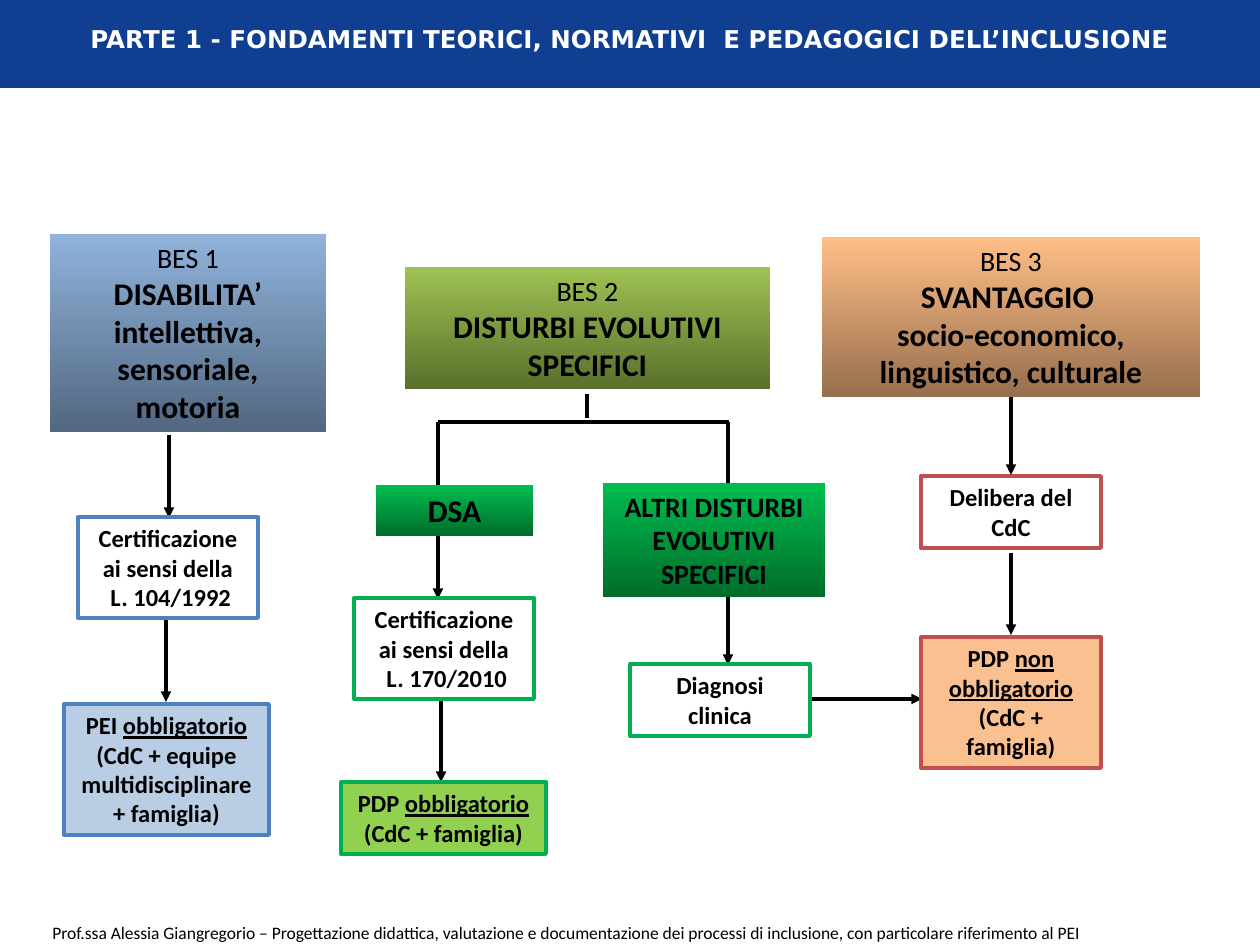
from dataclasses import dataclass
from typing import NamedTuple, Optional

from lxml.etree import SubElement
from pptx import Presentation
from pptx.dml.color import RGBColor
from pptx.enum.shapes import MSO_CONNECTOR, MSO_SHAPE
from pptx.enum.text import MSO_ANCHOR, MSO_AUTO_SIZE, PP_ALIGN
from pptx.oxml.ns import qn
from pptx.util import Emu, Pt

PX_PER_INCH = 126


@dataclass(frozen=True)
class Theme:
    font: str = "Calibri"
    title_font: str = "DejaVu Sans"
    black: str = "000000"
    white: str = "FFFFFF"
    band: str = "103F91"
    blue: str = "4F81BD"
    green: str = "00B050"
    red: str = "C0504D"
    pale_blue: str = "B9CDE5"
    lime: str = "92D050"
    peach: str = "FAC090"
    # Gradients run from bottom to top.
    blue_fade: tuple = ("526780", "90B3DC")
    olive_fade: tuple = ("5A702C", "9EC252")
    orange_fade: tuple = ("976E4D", "FFBF88")
    green_fade: tuple = ("006D2A", "00BD4F")
    heading: int = 18
    label: int = 16
    body: int = 14
    footer: int = 10
    border: float = 2.25
    arrow: int = 2


T = Theme()


class Run(NamedTuple):
    text: str
    size: int = T.body
    bold: bool = True
    underline: bool = False


class Box(NamedTuple):
    x: int
    y: int
    w: int
    h: int
    runs: list
    fill: object = None  # a colour, a gradient pair or None
    line: Optional[str] = None


class Line(NamedTuple):
    x1: int
    y1: int
    x2: int
    y2: int


def px(n: int) -> Emu:
    return Emu(round(n * 914400 / PX_PER_INCH))


def rgb(colour: str) -> RGBColor:
    return RGBColor.from_string(colour)


def category(label: str, text: str) -> list:
    return [Run(label + "\n", T.label, False), Run(text, T.heading)]


def plan(kind: str, duty: str, people: str) -> list:
    return [Run(kind + " "), Run(duty + "\n", underline=True), Run(people)]


def write(tf, runs: list, *, font: str = T.font, colour: str = T.black,
          align=PP_ALIGN.CENTER, wrap: bool = True) -> None:
    """Fill a text frame with one paragraph; a newline is a line break."""
    tf.word_wrap = wrap
    tf.auto_size = MSO_AUTO_SIZE.SHAPE_TO_FIT_TEXT
    tf.vertical_anchor = MSO_ANCHOR.TOP
    p = tf.paragraphs[0]
    p.alignment = align
    for run in runs:
        for i, part in enumerate(run.text.split("\n")):
            if i:
                p.add_line_break()
            if not part:
                continue
            r = p.add_run()
            r.text = part
            f = r.font
            f.name, f.size, f.bold = font, Pt(run.size), run.bold
            f.underline = run.underline
            f.color.rgb = rgb(colour)


def paint(fill, paint_with) -> None:
    if paint_with is None:
        fill.background()
    elif isinstance(paint_with, tuple):
        fill.gradient()
        fill.gradient_angle = 90
        for stop, position, colour in zip(fill.gradient_stops, (0, 1), paint_with):
            stop.position = position
            stop.color.rgb = rgb(colour)
    else:
        fill.solid()
        fill.fore_color.rgb = rgb(paint_with)


def draw_box(shapes, box: Box) -> None:
    sp = shapes.add_shape(MSO_SHAPE.RECTANGLE, px(box.x), px(box.y), px(box.w), px(box.h))
    sp.shadow.inherit = False
    paint(sp.fill, box.fill)
    paint(sp.line.fill, box.line)
    if box.line:
        sp.line.width = Pt(T.border)
    if box.runs:
        write(sp.text_frame, box.runs)


def draw_line(shapes, line: Line, arrow: bool = False) -> None:
    c = shapes.add_connector(MSO_CONNECTOR.STRAIGHT, *map(px, line))
    c.line.color.rgb = rgb(T.black)
    c.line.width = Pt(T.arrow)
    sp_pr = c.element.spPr
    if arrow:
        SubElement(sp_pr.find(qn("a:ln")), qn("a:tailEnd"), type="triangle")
    SubElement(sp_pr, qn("a:effectLst"))


BAND = Box(0, 0, 1260, 88, [], T.band)
TITLE = "PARTE 1 - FONDAMENTI TEORICI, NORMATIVI  E PEDAGOGICI DELL’INCLUSIONE"
FOOTER = ("Prof.ssa Alessia Giangregorio – Progettazione didattica, valutazione e documentazione "
          "dei processi di inclusione, con particolare riferimento al PEI")

ARROWS = [
    Line(169, 435, 169, 518),
    Line(166, 619, 166, 702),
    Line(438, 515, 438, 599),
    Line(441, 699, 441, 782),
    Line(728, 582, 728, 665),
    Line(810, 699, 922, 699),
    Line(1011, 392, 1011, 475),
    Line(1011, 553, 1011, 635),
]
BRACKET = [
    Line(587, 394, 587, 418),
    Line(438, 422, 729, 422),
    Line(438, 422, 438, 485),
    Line(728, 422, 728, 485),
]
BOXES = [
    Box(50, 234, 276, 198,
        category("BES 1", "DISABILITA’\nintellettiva, sensoriale, motoria"), T.blue_fade),
    Box(405, 267, 365, 122,
        category("BES 2", "DISTURBI EVOLUTIVI SPECIFICI"), T.olive_fade),
    Box(822, 237, 378, 160,
        category("BES 3", "SVANTAGGIO \nsocio-economico, linguistico, culturale"), T.orange_fade),
    Box(78, 517, 180, 101, [Run("Certificazione ai sensi della\n L. 104/1992")], line=T.blue),
    Box(376, 485, 157, 51, [Run("DSA", T.heading)], T.green_fade),
    Box(354, 598, 180, 101, [Run("Certificazione ai sensi della\n L. 170/2010")], line=T.green),
    Box(603, 483, 222, 114, [Run("ALTRI DISTURBI EVOLUTIVI SPECIFICI", T.label)], T.green_fade),
    Box(64, 704, 205, 131,
        plan("PEI", "obbligatorio", "(CdC + equipe multidisciplinare + famiglia)"),
        T.pale_blue, T.blue),
    Box(341, 782, 205, 72, plan("PDP", "obbligatorio", "(CdC + famiglia)"), T.lime, T.green),
    Box(630, 664, 180, 72, [Run("Diagnosi clinica")], line=T.green),
    Box(921, 476, 180, 72, [Run("Delibera del CdC")], line=T.red),
    Box(921, 637, 180, 131, plan("PDP", "non obbligatorio", "(CdC + famiglia)"), T.peach, T.red),
]


def main() -> None:
    prs = Presentation()
    prs.slide_width, prs.slide_height = px(1260), px(945)
    s = prs.slides.add_slide(prs.slide_layouts[5])
    shapes = s.shapes

    draw_box(shapes, BAND)
    footer = shapes.add_textbox(px(40), px(916), px(1057), px(34))
    write(footer.text_frame, [Run(FOOTER, T.footer, False)], align=PP_ALIGN.LEFT, wrap=False)

    for arrow in ARROWS:
        draw_line(shapes, arrow, arrow=True)
    bracket = shapes.add_group_shape()
    for line in BRACKET:
        draw_line(bracket.shapes, line)
    for box in BOXES:
        draw_box(shapes, box)

    title = shapes.title
    title.left, title.top, title.width, title.height = px(0), px(18), px(1260), px(43)
    write(title.text_frame, [Run(TITLE)], font=T.title_font, colour=T.white)
    title.element.getparent().append(title.element)  # bring in front of the band

    prs.save("out.pptx")


if __name__ == "__main__":
    main()
